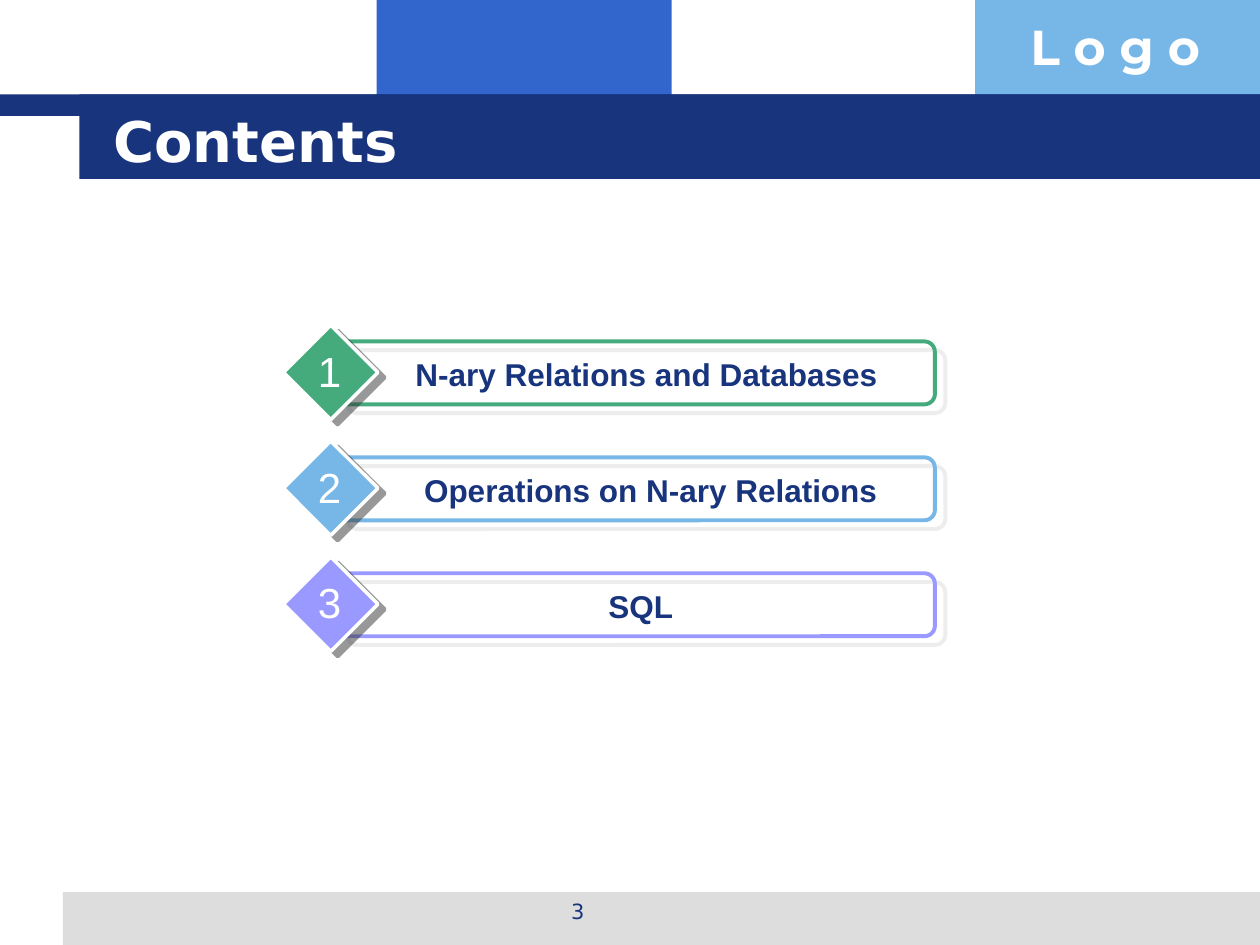
from lxml.etree import SubElement
from pptx import Presentation
from pptx.dml.color import RGBColor
from pptx.enum.shapes import MSO_SHAPE as Shape
from pptx.enum.text import MSO_ANCHOR as Anchor, PP_ALIGN as Align
from pptx.oxml.ns import qn
from pptx.util import Inches, Pt

NAVY, WHITE, GREY, SKY = "17347D", "FFFFFF", "DDDDDD", "77B7E7"

BANDS = [
    (2.99, 0, 2.34, 0.92, "3366CC"),
    (7.74, 0, 2.26, 0.92, SKY),
    (0.5, 7.08, 9.5, 0.42, GREY),
    (0, 0.75, 10, 0.17, NAVY),
    (0.63, 0.75, 9.37, 0.67, NAVY),
]

# Topic, colour, left and width of the label
TOPICS = [
    ("N-ary Relations and Databases", "45AB7D", 2.92, 4.42),
    ("Operations on N-ary Relations", SKY, 3, 4.33),
    ("SQL", "9999FF", 2.92, 4.33),
]
FIRST_TOP, ROW_STEP = 2.58, 0.92


def colour(value):
    return RGBColor.from_string(value)


def add_shape(page, kind, left, top, width, height, fill=None, line=None, weight=1):
    shape = page.shapes.add_shape(
        kind, Inches(left), Inches(top), Inches(width), Inches(height))
    shape.shadow.inherit = False
    if fill:
        shape.fill.solid()
        shape.fill.fore_color.rgb = colour(fill)
    else:
        shape.fill.background()
    if line:
        shape.line.color.rgb = colour(line)
        shape.line.width = Pt(weight)
    else:
        shape.line.fill.background()
    return shape


def add_shadow(shape, value, distance, angle):
    effects = shape.element.spPr.find(qn("a:effectLst"))
    shadow = SubElement(effects, qn("a:outerShdw"), blurRad="0",
                        dist=str(Pt(distance)), dir=str(angle * 60000),
                        algn="ctr", rotWithShape="0")
    tint = SubElement(shadow, qn("a:srgbClr"), val=value)
    SubElement(tint, qn("a:alpha"), val="50000")


def write(box, text, size, font, value, bold=False, align=Align.LEFT):
    para = box.text_frame.paragraphs[0]
    para.alignment = align
    span = para.add_run()
    span.text = text
    span.font.size = Pt(size)
    span.font.name = font
    span.font.bold = bold
    span.font.color.rgb = colour(value)


def add_text(page, left, top, width, height, text, size, font, value,
             bold=False, align=Align.CENTER, wrap=True):
    box = page.shapes.add_textbox(
        Inches(left), Inches(top), Inches(width), Inches(height))
    box.text_frame.word_wrap = wrap
    write(box, text, size, font, value, bold, align)


def place_title(page, text):
    title = page.shapes.title
    title.left, title.top = Inches(0.8), Inches(0.8)
    title.width, title.height = Inches(8.53), Inches(0.62)
    title.text_frame.vertical_anchor = Anchor.MIDDLE
    write(title, text, 32, "DejaVu Sans", WHITE, bold=True)
    # Bring the title in front of the bands
    page.shapes.element.append(title.element)


def add_topic(page, number, top, text, value, left, width):
    frame = add_shape(page, Shape.ROUNDED_RECTANGLE, 2.67, top + 0.13, 4.75, 0.5,
                      line=value, weight=2.25)
    frame.adjustments[0] = 0.167
    add_shadow(frame, GREY, 7.8, 40)
    diamond = add_shape(page, Shape.DIAMOND, 2.25, top, 0.75, 0.75,
                        fill=value, line=WHITE, weight=2)
    add_shadow(diamond, "333333", 5, 37)
    add_text(page, left, top + 0.19, width, 0.4, text, 18, "Arial", NAVY, bold=True)
    add_text(page, 2.42, top + 0.11, 0.39, 0.5, str(number), 24, "Arial", WHITE,
             wrap=False)


def main():
    deck = Presentation()
    deck.slide_width, deck.slide_height = Inches(10), Inches(7.5)
    page = deck.slides.add_slide(deck.slide_layouts[5])

    # Header and footer
    for left, top, width, height, fill in BANDS:
        add_shape(page, Shape.RECTANGLE, left, top, width, height, fill)
    add_text(page, 8.08, 0.08, 1.93, 0.57, "L o g o", 28, "Montserrat", WHITE,
             bold=True, align=Align.LEFT)
    add_text(page, 3.42, 7.08, 2.33, 0.35, "3", 12, "DejaVu Sans", NAVY)
    place_title(page, "Contents")

    # Topics
    for index, topic in enumerate(TOPICS):
        add_topic(page, index + 1, FIRST_TOP + index * ROW_STEP, *topic)

    deck.save("out.pptx")


main()
